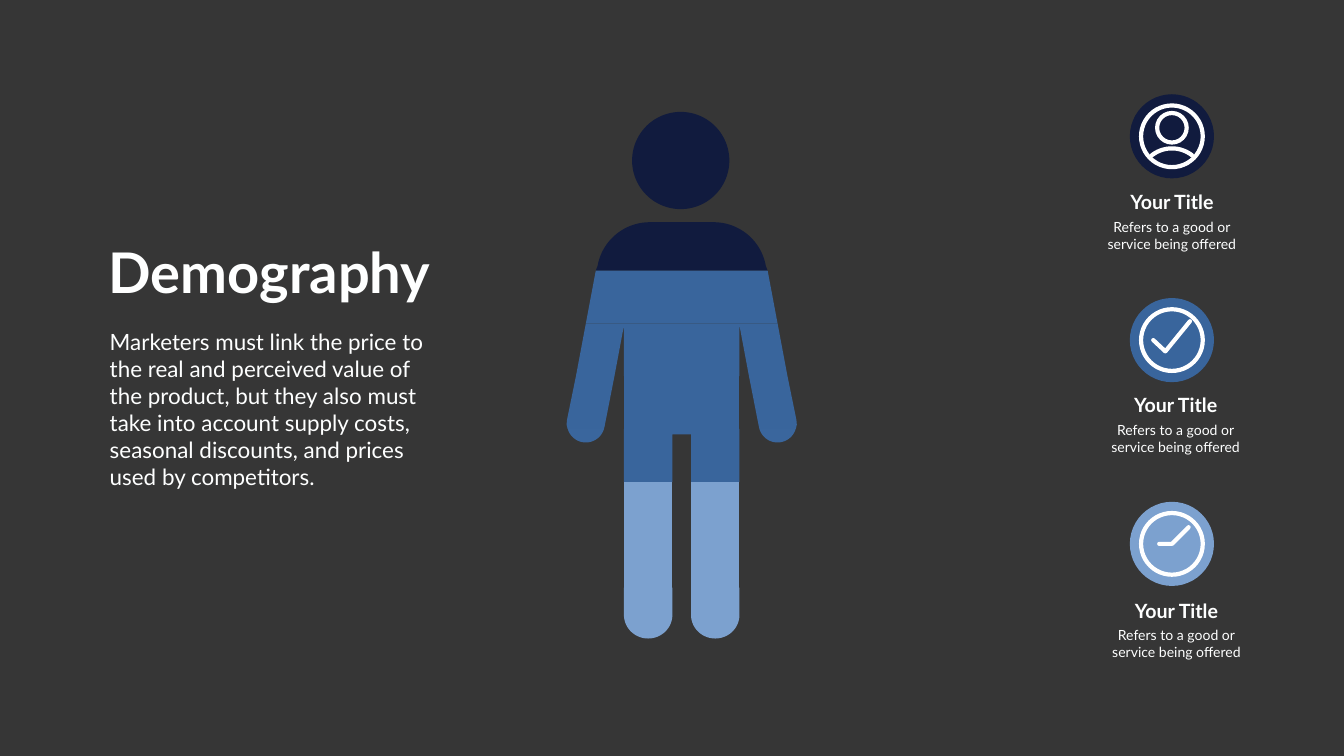
from dataclasses import dataclass
from math import cos, radians, sin

from pptx import Presentation
from pptx.dml.color import RGBColor
from pptx.enum.shapes import MSO_SHAPE
from pptx.enum.text import MSO_AUTO_SIZE, PP_ALIGN
from pptx.oxml.ns import qn
from pptx.util import Cm, Pt


@dataclass(frozen=True)
class Theme:
    background: str = "363636"
    navy: str = "111B3E"
    blue: str = "39659C"
    hand: str = "3A669D"
    sky: str = "7CA1CF"
    icon: str = "FFFFFF"
    text: str = "FEFFFF"
    font: str = "Lato"
    heading: int = 80
    body: int = 32
    title: int = 28
    caption: int = 20
    stroke: int = 6


AXIS = 34.35  # centre line of the figure, in cm


def arc(x, y, radius_x, radius_y, start, end, steps=48):
    """Points on an ellipse; angles run clockwise from the right."""
    angles = [radians(start + (end - start) * i / steps) for i in range(steps + 1)]
    return [(x + radius_x * cos(a), y + radius_y * sin(a)) for a in angles]


def rectangle(left, top, right, bottom):
    return [(left, top), (right, top), (right, bottom), (left, bottom)]


def mirror(points):
    return [(2 * AXIS - x, y) for x, y in reversed(points)]


def shift(points, x, y):
    return [(x + dx, y + dy) for dx, dy in points]


class Canvas:
    def __init__(self, slide, theme):
        self.slide = slide
        self.theme = theme
        fill = slide.background.fill
        fill.solid()
        fill.fore_color.rgb = RGBColor.from_string(theme.background)

    def paint(self, shape, color):
        shape.shadow.inherit = False
        shape.fill.solid()
        shape.fill.fore_color.rgb = RGBColor.from_string(color)
        shape.line.fill.background()

    def freeform(self, points, close):
        first, *rest = [(Cm(x), Cm(y)) for x, y in points]
        builder = self.slide.shapes.build_freeform(*first)
        builder.add_line_segments(rest, close=close)
        return builder.convert_to_shape()

    def area(self, points, color):
        self.paint(self.freeform(points, True), color)

    def pair(self, points, color):
        for side in (points, mirror(points)):
            self.area(side, color)

    def stroke(self, points):
        shape = self.freeform(points, False)
        shape.shadow.inherit = False
        shape.fill.background()
        shape.line.color.rgb = RGBColor.from_string(self.theme.icon)
        shape.line.width = Pt(self.theme.stroke)
        shape.element.spPr.find(qn("a:ln")).set("cap", "rnd")

    def round(self, kind, x, y, radius, color):
        shape = self.slide.shapes.add_shape(
            kind, Cm(x - radius), Cm(y - radius), Cm(2 * radius), Cm(2 * radius))
        self.paint(shape, color)
        return shape

    def disc(self, x, y, radius, color):
        self.round(MSO_SHAPE.OVAL, x, y, radius, color)

    def ring(self, x, y, radius):
        shape = self.round(MSO_SHAPE.DONUT, x, y, radius, self.theme.icon)
        shape.adjustments[0] = Pt(self.theme.stroke) / Cm(2 * radius)

    def text(self, text, left, top, width, height, *, size, bold=False,
             align=PP_ALIGN.LEFT, wrap=True):
        box = self.slide.shapes.add_textbox(Cm(left), Cm(top), Cm(width), Cm(height))
        frame = box.text_frame
        frame.word_wrap = wrap
        frame.auto_size = MSO_AUTO_SIZE.SHAPE_TO_FIT_TEXT
        frame.text = text
        for para in frame.paragraphs:
            para.alignment = align
            for span in para.runs:
                span.font.name = self.theme.font
                span.font.size = Pt(size)
                span.font.bold = bold
                span.font.color.rgb = RGBColor.from_string(self.theme.text)


def draw_figure(canvas):
    theme = canvas.theme

    # Head and shoulders
    for start, end in ((-185, 5), (5, 175)):
        canvas.area(arc(34.3, 8.09, 2.45, 2.45, start, end), theme.navy)
    shoulder = [(30.02, 13.64)] + arc(32.74, 13.87, 2.67, 2.67, 190, 270)
    canvas.area(shoulder + mirror(shoulder), theme.navy)

    # Chest, upper arms and hips
    chest = [(29.52, 16.3), (30.02, 13.64)]
    canvas.area(chest + mirror(chest), theme.blue)
    torso = [(31.44, 18.96), (31.44, 16.4), (30.96, 18.96), (29.02, 18.96), (29.52, 16.3)]
    canvas.area(torso + mirror(torso), theme.blue)
    canvas.area(rectangle(31.44, 18.96, 37.26, 21.62), theme.blue)

    # Forearms and hands
    forearm = [(30.96, 18.96), (29.02, 18.96), (28.57, 21.16), (28.55, 21.4),
               (28.6, 21.62), (30.43, 21.62), (30.46, 21.51)]
    canvas.pair(forearm, theme.blue)
    canvas.pair(arc(29.52, 21.35, 0.95, 0.95, 16.5, 163.5), theme.hand)

    # Thighs, shins and feet
    thigh = [(33.88, 21.89), (33.88, 24.3), (31.44, 24.3), (31.44, 21.62)]
    canvas.area(thigh + mirror(thigh), theme.blue)
    for top, bottom in ((24.3, 26.95), (26.95, 29.62)):
        canvas.pair(rectangle(31.44, top, 33.88, bottom), theme.sky)
    foot = [(31.44, 29.62), (33.88, 29.62)] + arc(32.66, 30.99, 1.22, 1.19, 0, 180)
    canvas.pair(foot, theme.sky)


def draw_topics(canvas):
    theme = canvas.theme
    icon_x, first_y, step = 59.05, 6.87, 10.27
    person = arc(0, 2.26, 1.65, 1.65, 232, 308)
    check = [(-0.94, 0), (-0.33, 0.57), (0.91, -0.95)]
    clock = [(-0.64, 0), (0, 0), (0.84, -0.84)]
    # Disc colour, icon strokes, label centre, label top
    topics = [
        (theme.navy, person, 59.05, 9.47),
        (theme.blue, check, 59.24, 19.69),
        (theme.sky, clock, 59.28, 30.05),
    ]
    for index, (color, strokes, label_x, label_top) in enumerate(topics):
        icon_y = first_y + index * step
        canvas.disc(icon_x, icon_y, 2.12, color)
        canvas.ring(icon_x, icon_y, 1.66)
        canvas.stroke(shift(strokes, icon_x, icon_y))
        canvas.text("Refers to a good or\nservice being offered",
                    label_x - 3.66, label_top + 1.42, 7.32, 1.95,
                    size=theme.caption, align=PP_ALIGN.CENTER)
        canvas.text("Your Title", label_x - 2.45, label_top, 4.9, 1.45,
                    size=theme.title, bold=True, align=PP_ALIGN.CENTER)
    # Head of the person icon
    canvas.ring(icon_x, first_y - 0.43, 0.85)


def main():
    deck = Presentation()
    deck.slide_width, deck.slide_height = Cm(67.72), Cm(38.1)
    page = deck.slides.add_slide(deck.slide_layouts[6])
    canvas = Canvas(page, Theme())

    draw_figure(canvas)
    draw_topics(canvas)

    # Heading and introduction
    canvas.text("Demography", 5.05, 11.84, 17.07, 3.68, size=canvas.theme.heading,
                bold=True, align=PP_ALIGN.CENTER, wrap=False)
    canvas.text("Marketers must link the price to the real and perceived value of "
                "the product, but they also must take into account supply costs, "
                "seasonal discounts, and prices used by competitors.",
                5.28, 16.43, 16.94, 8.46, size=canvas.theme.body)

    deck.save("out.pptx")


if __name__ == "__main__":
    main()
